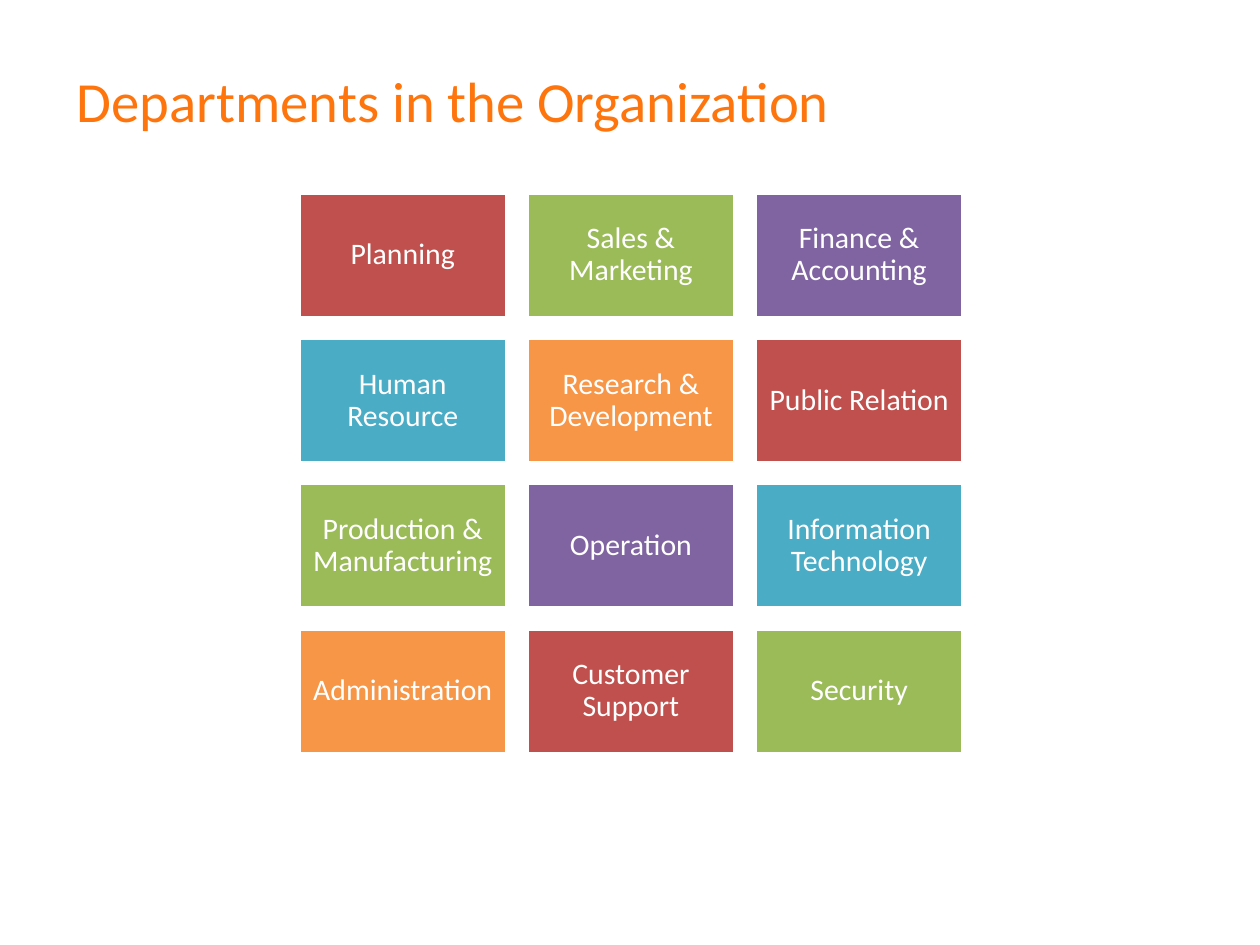
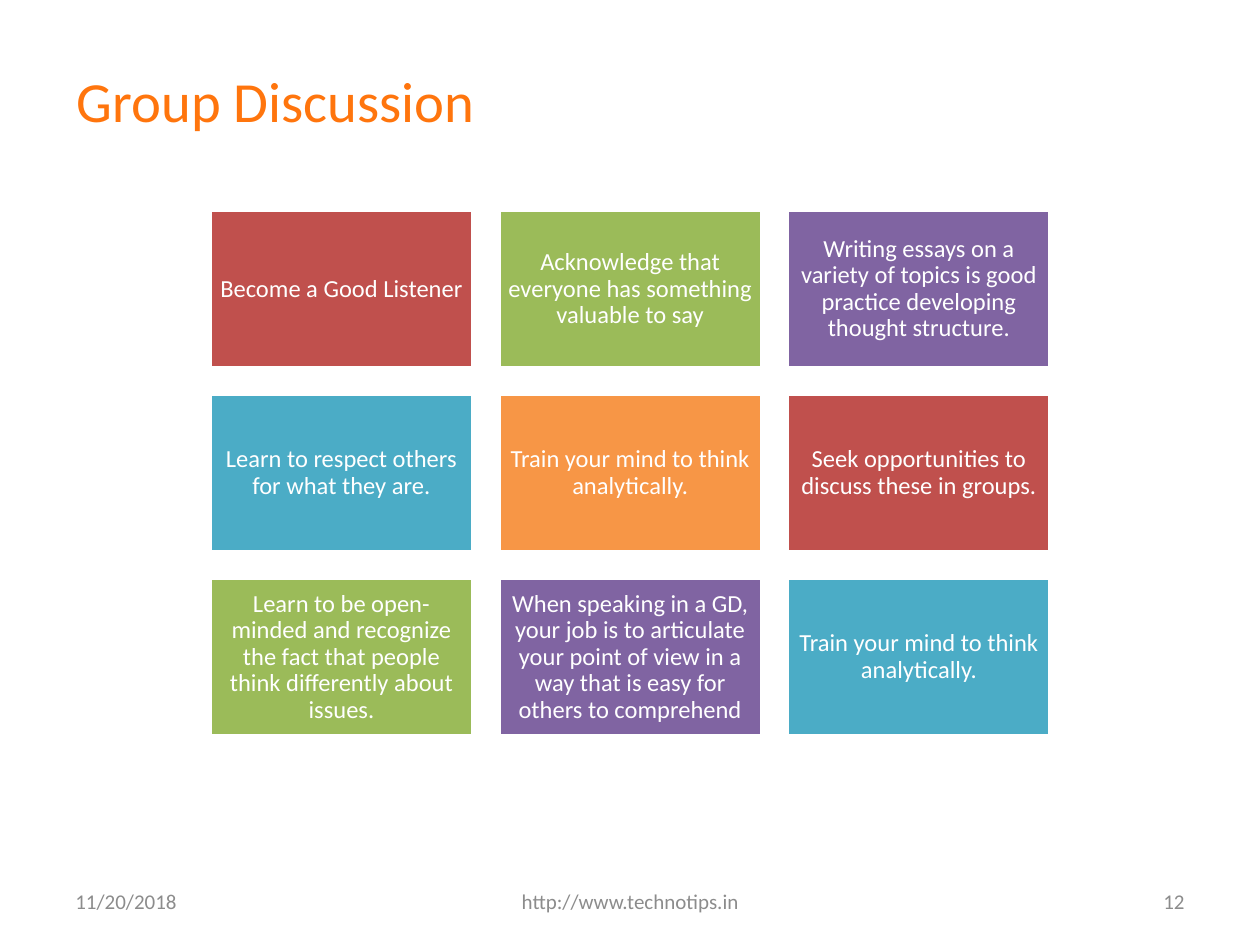
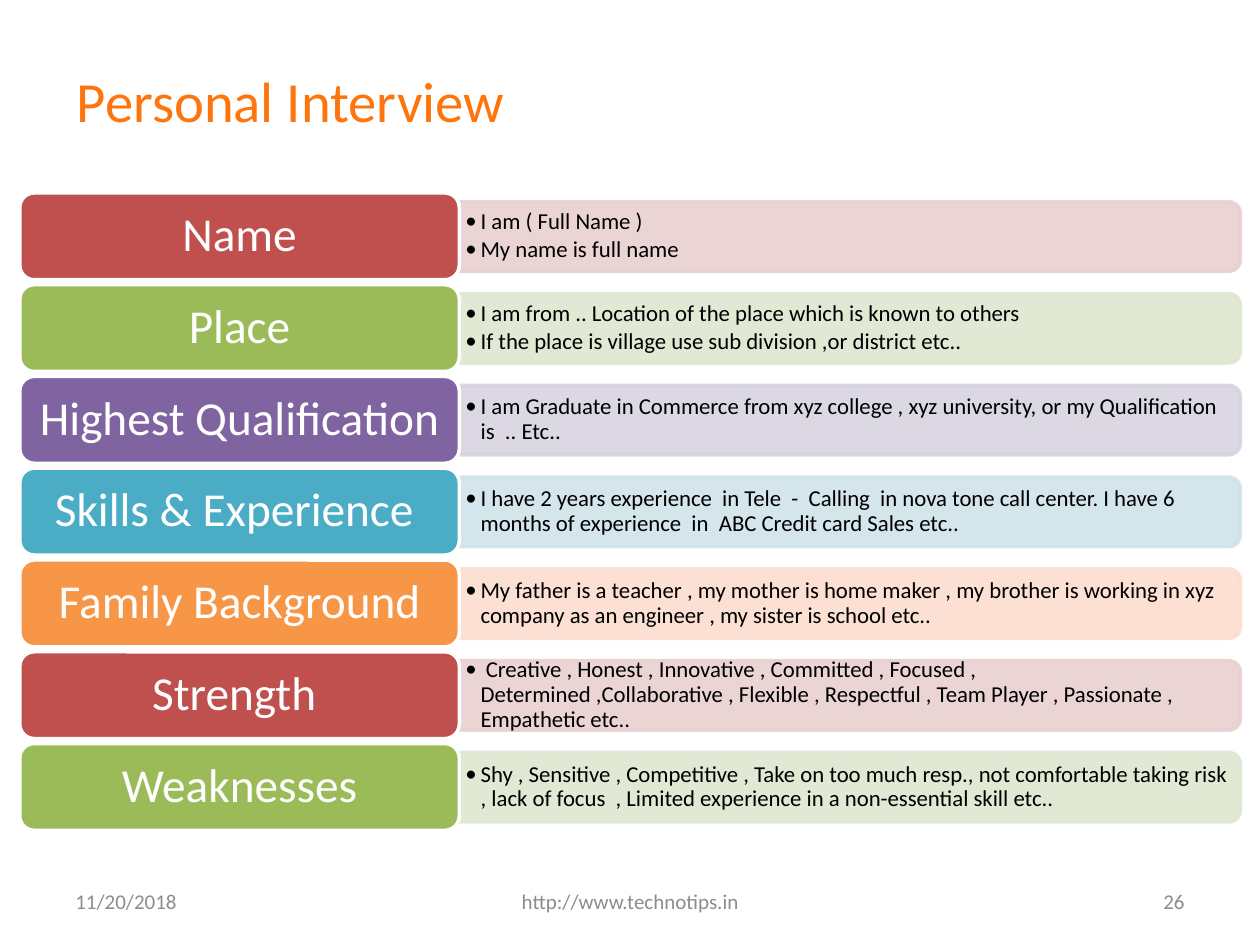
import dataclasses

import lxml.etree
import pptx
import pptx.dml.color
import pptx.enum.shapes
import pptx.enum.text
import pptx.oxml.ns
import pptx.util

Cm = pptx.util.Cm
Pt = pptx.util.Pt
Align = pptx.enum.text.PP_ALIGN
Kind = pptx.enum.shapes.MSO_SHAPE
hue = pptx.dml.color.RGBColor.from_string
qn = pptx.oxml.ns.qn


@dataclasses.dataclass(frozen=True)
class Theme:
    font: str = "Calibri"
    title: str = "FF750D"
    footer: str = "8C8C8C"
    light: str = "FFFFFF"
    dark: str = "000000"
    fills: tuple = ("C0504D", "9BBB59", "8064A2", "4BACC6", "F79646")
    tints: tuple = ("E8D0D0", "DEE7D1", "D8D3E0", "D0E3EA", "FCDDCF")
    title_size: float = 32.4
    label_size: int = 27
    point_size: int = 13
    foot_size: int = 12


theme = Theme()


def write(shape, lines, size, color, align, inset=(0.25, 0.13), space=None, bullet=False):
    frame = shape.text_frame
    frame.word_wrap = True
    frame.auto_size = pptx.enum.text.MSO_AUTO_SIZE.NONE
    frame.vertical_anchor = pptx.enum.text.MSO_ANCHOR.MIDDLE
    frame.margin_left = frame.margin_right = Cm(inset[0])
    frame.margin_top = frame.margin_bottom = Cm(inset[1])
    frame.text = "\n".join(lines)
    for para in frame.paragraphs:
        if bullet:
            props = para._p.get_or_add_pPr()
            props.set("marL", str(Cm(0.31)))
            props.set("indent", str(-Cm(0.31)))
            face = lxml.etree.SubElement(props, qn("a:buFont"))
            face.set("typeface", theme.font)
            lxml.etree.SubElement(props, qn("a:buChar")).set("char", "•")
            para.space_after = Pt(2)
        para.alignment = align
        para.line_spacing = space
        for run in para.runs:
            run.font.name = theme.font
            run.font.size = Pt(size)
            run.font.color.rgb = hue(color)


def block(slide, kind, left, top, width, height, fill, edge):
    shape = slide.shapes.add_shape(kind, Cm(left), Cm(top), Cm(width), Cm(height))
    shape.shadow.inherit = False
    shape.fill.solid()
    shape.fill.fore_color.rgb = hue(fill)
    shape.line.color.rgb = hue(edge)
    shape.line.width = Pt(2)
    return shape


deck = pptx.Presentation()
deck.slide_width = Cm(25.4)
deck.slide_height = Cm(19.05)

pages = [
    ("Departments in the Organization", None),
    ("Group Discussion", "12"),
    ("Personal Interview", "26"),
]
slides = []
for title, number in pages:
    slide = deck.slides.add_slide(deck.slide_layouts[5])
    slides.append(slide)
    head = slide.shapes.title
    head.left, head.top, head.width, head.height = Cm(1.3), Cm(1.27), Cm(22.86), Cm(1.47)
    write(head, [title], theme.title_size, theme.title, Align.LEFT)
    if number:
        for left, width, text, align in [
            (1.27, 5.92, "11/20/2018", Align.LEFT),
            (8.68, 8.05, "http://www.technotips.in", Align.CENTER),
            (18.21, 5.92, number, Align.RIGHT),
        ]:
            foot = slide.shapes.add_textbox(Cm(left), Cm(17.65), Cm(width), Cm(1.02))
            write(foot, [text], theme.foot_size, theme.footer, align)

teams = [
    "Planning", "Sales & Marketing", "Finance & Accounting",
    "Human Resource", "Research & Development", "Public Relation",
    "Production & Manufacturing", "Operation", "Information Technology",
    "Administration", "Customer Support", "Security",
]
tips = [
    "Become a Good Listener",
    "Acknowledge that everyone has something valuable to say",
    "Writing essays on a variety of topics is good practice developing thought structure.",
    "Learn to respect others for what they are.",
    "Train your mind to think analytically.",
    "Seek opportunities to discuss these in groups.",
    "Learn to be open-minded and recognize the fact that people think differently about issues.",
    "When speaking in a GD, your job is to articulate your point of view in a way that is easy for others to comprehend",
    "Train your mind to think analytically.",
]
grids = [
    (slides[0], teams, 6.03, 3.89, 4.18, 2.51, 0.42, 17, 0.17),
    (slides[1], tips, 4.24, 4.24, 5.29, 3.18, 0.53, 14, 0.15),
]
for slide, texts, left, top, width, height, gap, size, pad in grids:
    for i, text in enumerate(texts):
        row, col = divmod(i, 3)
        tile = block(slide, Kind.RECTANGLE, left + col * (width + gap), top + row * (height + gap),
                     width, height, theme.fills[i % 5], theme.light)
        write(tile, [text], size, theme.light, Align.CENTER, (pad, pad), 0.9)

topics = [
    ("Name", ["I am ( Full Name )", "My name is full name"]),
    ("Place", ["I am from .. Location of the place which is known to others",
               "If the place is village use sub division ,or district etc.."]),
    ("Highest Qualification", ["I am Graduate in Commerce from xyz college , xyz university, or my Qualification is  .. Etc.."]),
    ("Skills & Experience ", ["I have 2 years experience  in Tele  -  Calling  in nova tone call center. I have 6 months of experience  in  ABC Credit card Sales etc.."]),
    ("Family Background", ["My father is a teacher , my mother is home maker , my brother is working in xyz company as an engineer , my sister is school etc.."]),
    ("Strength ", [" Creative , Honest , Innovative , Committed , Focused , Determined ,Collaborative , Flexible , Respectful , Team Player , Passionate , Empathetic etc.."]),
    ("Weaknesses", ["Shy , Sensitive , Competitive , Take on too much resp., not comfortable taking risk , lack of focus  , Limited experience in a non-essential skill etc.."]),
]
slide = slides[2]
thick, long = 1.4, 15.75
for i, (label, points) in enumerate(topics):
    top = 3.89 + i * 1.85
    mid = top + 0.88
    tint = theme.tints[i % 5]
    band = block(slide, Kind.ROUND_2_SAME_RECTANGLE, 17.13 - thick / 2, mid - long / 2,
                 thick, long, tint, tint)
    band.rotation = 90
    for color in band._element.spPr.iter(qn("a:srgbClr")):
        lxml.etree.SubElement(color, qn("a:alpha")).set("val", "90000")
    box = slide.shapes.add_textbox(Cm(9.25), Cm(mid - 0.64), Cm(15.67), Cm(1.27))
    write(box, points, theme.point_size, theme.dark, Align.LEFT, (0.13, 0.07), 0.9, True)
    tab = block(slide, Kind.ROUNDED_RECTANGLE, 0.4, top, 8.86, 1.75, theme.fills[i % 5], theme.light)
    write(tab, [label], theme.label_size, theme.light, Align.CENTER, (0.27, 0.15), 0.9)

deck.save("out.pptx")
